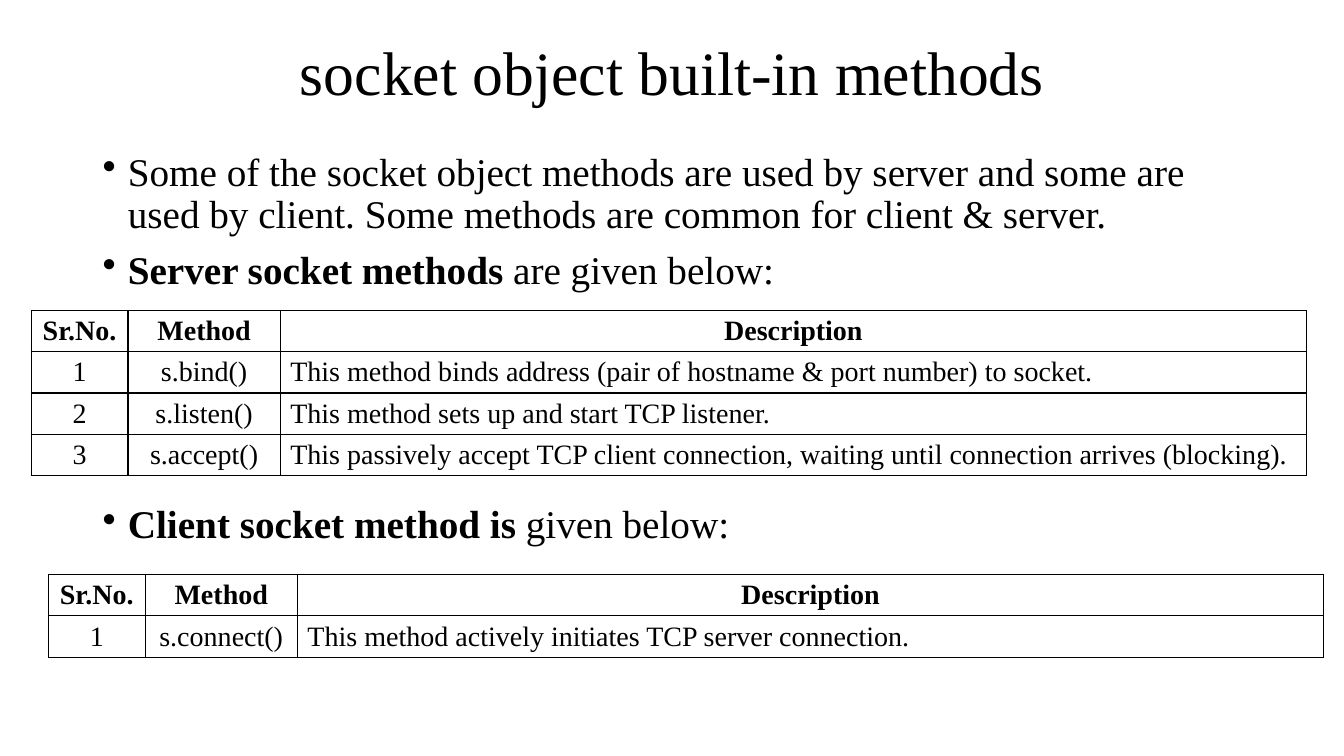
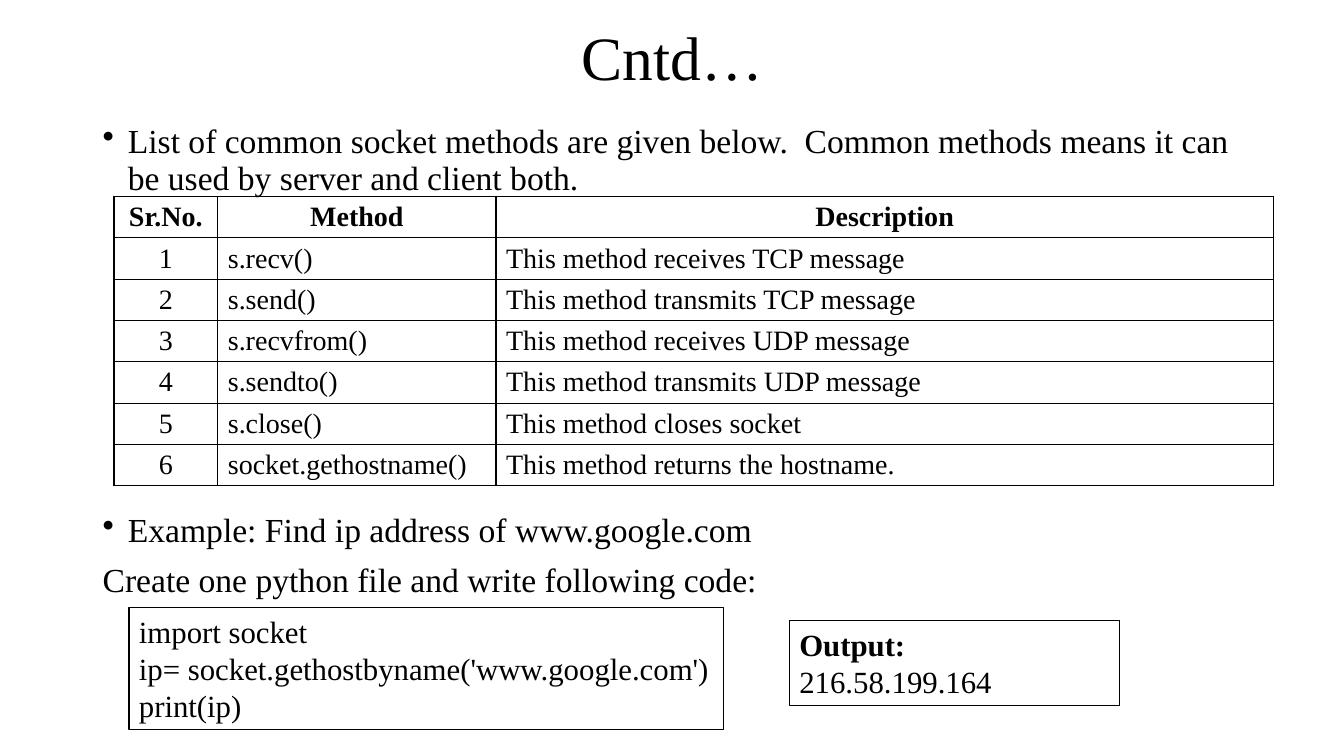
from dataclasses import dataclass

from lxml import etree
from pptx import Presentation
from pptx.dml.color import RGBColor
from pptx.enum.text import MSO_ANCHOR, PP_ALIGN
from pptx.oxml.ns import qn
from pptx.util import Emu, Pt

EMU_PER_PX = 9144
CENTER, LEFT = PP_ALIGN.CENTER, PP_ALIGN.LEFT
MIDDLE = MSO_ANCHOR.MIDDLE


@dataclass(frozen=True)
class Theme:
    """Colours, type sizes and shared measures of the slides."""
    ink: RGBColor = RGBColor(0, 0, 0)
    font: str = "Times New Roman"
    title_size: int = 44
    lead_size: int = 28
    body_size: int = 24
    code_size: int = 22
    table_size: int = 20
    line_spacing: float = 0.9
    paragraph_gap: int = 10
    grid_width: float = 1
    frame_width: float = 0.75
    text_left: int = 92
    text_width: int = 1150
    title_height: int = 90
    bullet_indent: int = 25
    row_height: int = 41
    cell_margin: int = 3


THEME = Theme()
HEADINGS = ("Sr.No.", "Method", "Description")
SERVER_METHODS = (
    ("s.bind()", "This method binds address (pair of hostname & port number) to socket."),
    ("s.listen()", "This method sets up and start TCP listener."),
    ("s.accept()", "This passively accept TCP client connection, "
                   "waiting until connection arrives (blocking)."),
)
CLIENT_METHODS = (
    ("s.connect()", "This method actively initiates TCP server connection."),
)
COMMON_METHODS = (
    ("s.recv()", "This method receives TCP message"),
    ("s.send()", "This method transmits TCP message"),
    ("s.recvfrom()", "This method receives UDP message"),
    ("s.sendto()", "This method transmits UDP message"),
    ("s.close()", "This method closes socket"),
    ("socket.gethostname()", "This method returns the hostname."),
)


def px(length):
    """Turn px into EMU."""
    return Emu(length * EMU_PER_PX)


def style(paragraph, size, bold=None, align=LEFT):
    """Set the type and alignment of a paragraph."""
    paragraph.alignment = align
    font = paragraph.font
    font.name = THEME.font
    font.size = Pt(size)
    font.color.rgb = THEME.ink
    font.bold = bold


def add_bullet(paragraph):
    """Give a paragraph a hanging bullet."""
    properties = paragraph._p.get_or_add_pPr()
    properties.set("marL", str(px(THEME.bullet_indent)))
    properties.set("indent", str(px(-THEME.bullet_indent)))
    etree.SubElement(properties, qn("a:buChar")).set("char", "•")


def add_text_box(slide, left, top, width, height):
    """Add a wrapping text box and return it."""
    box = slide.shapes.add_textbox(px(left), px(top), px(width), px(height))
    box.text_frame.word_wrap = True
    return box


def add_title(slide, top, text):
    """Add the centred slide title."""
    frame = add_text_box(slide, THEME.text_left, top,
                         THEME.text_width, THEME.title_height).text_frame
    frame.vertical_anchor = MIDDLE
    title = frame.paragraphs[0]
    title.text = text
    title.line_spacing = THEME.line_spacing
    style(title, THEME.title_size, align=CENTER)


def add_body(slide, top, height, size, items):
    """Add body paragraphs from (bulleted, bold lead, text) items."""
    frame = add_text_box(slide, THEME.text_left, top, THEME.text_width, height).text_frame
    for index, (bulleted, lead, text) in enumerate(items):
        paragraph = frame.add_paragraph() if index else frame.paragraphs[0]
        if bulleted:
            add_bullet(paragraph)
        paragraph.line_spacing = THEME.line_spacing
        if index:
            paragraph.space_before = Pt(THEME.paragraph_gap)
        style(paragraph, size)
        if lead:
            lead_run = paragraph.add_run()
            lead_run.text = lead
            lead_run.font.bold = True
        paragraph.add_run().text = text


def add_borders(cell):
    """Draw thin lines on all four sides of a table cell."""
    properties = cell._tc.get_or_add_tcPr()
    for side in ("lnL", "lnR", "lnT", "lnB"):
        line = etree.SubElement(properties, qn(f"a:{side}"), w=str(Pt(THEME.grid_width)))
        fill = etree.SubElement(line, qn("a:solidFill"))
        etree.SubElement(fill, qn("a:srgbClr"), val=str(THEME.ink))


def add_method_table(slide, left, top, widths, methods, method_align):
    """Add a numbered table of methods under the shared headings."""
    rows = [HEADINGS] + [(str(number), *method) for number, method in enumerate(methods, 1)]
    table = slide.shapes.add_table(len(rows), len(widths), px(left), px(top), px(sum(widths)),
                                   px(THEME.row_height * len(rows))).table
    for column, width in zip(table.columns, widths):
        column.width = px(width)
    aligns = (CENTER, method_align, LEFT)
    for row_index, texts in enumerate(rows):
        is_heading = row_index == 0
        for column_index, text in enumerate(texts):
            cell = table.cell(row_index, column_index)
            add_borders(cell)
            cell.fill.background()
            cell.vertical_anchor = MIDDLE
            cell.margin_top = cell.margin_bottom = px(THEME.cell_margin)
            cell.text = text
            style(cell.text_frame.paragraphs[0], THEME.table_size, is_heading,
                  CENTER if is_heading else aligns[column_index])


def add_framed_lines(slide, left, top, width, height, lines, heading=False):
    """Add an outlined box of text lines, the first one bold if it is a heading."""
    box = add_text_box(slide, left, top, width, height)
    box.line.color.rgb = THEME.ink
    box.line.width = Pt(THEME.frame_width)
    box.text_frame.text = "\n".join(lines)
    for index, paragraph in enumerate(box.text_frame.paragraphs):
        style(paragraph, THEME.code_size, heading and index == 0)


def build_server_client_slide(slide):
    """Show the server and client socket methods."""
    add_title(slide, 30, "socket object built-in methods")
    add_body(slide, 146, 155, THEME.lead_size, [
        (True, "", "Some of the socket object methods are used by server and some are "
                   "used by client. Some methods are common for client & server."),
        (True, "Server socket methods", " are given below:"),
    ])
    widths = (96, 151, 1018)
    add_method_table(slide, 31, 308, widths, SERVER_METHODS, CENTER)
    add_body(slide, 496, 55, THEME.lead_size,
             [(True, "Client socket method is", " given below:")])
    add_method_table(slide, 48, 570, widths, CLIENT_METHODS, CENTER)


def build_common_slide(slide):
    """Show the common socket methods and an example."""
    add_title(slide, 15, "Cntd…")
    add_body(slide, 119, 76, THEME.body_size, [
        (True, "", "List of common socket methods are given below.  Common methods "
                   "means it can be used by server and client both."),
    ])
    add_method_table(slide, 113, 195, (103, 276, 771), COMMON_METHODS, LEFT)
    add_body(slide, 504, 95, THEME.body_size, [
        (True, "", "Example: Find ip address of www.google.com"),
        (False, "", "Create one python file and write following code:"),
    ])
    add_framed_lines(slide, 128, 603, 590, 121, [
        "import socket",
        "ip= socket.gethostbyname('www.google.com')",
        "print(ip)",
    ])
    add_framed_lines(slide, 783, 616, 327, 84, ["Output:", "216.58.199.164"], heading=True)


def main():
    """Build and save the presentation."""
    presentation = Presentation()
    presentation.slide_width, presentation.slide_height = px(1333), px(750)
    blank = presentation.slide_layouts[6]
    for build in (build_server_client_slide, build_common_slide):
        build(presentation.slides.add_slide(blank))
    presentation.save("out.pptx")


if __name__ == "__main__":
    main()
